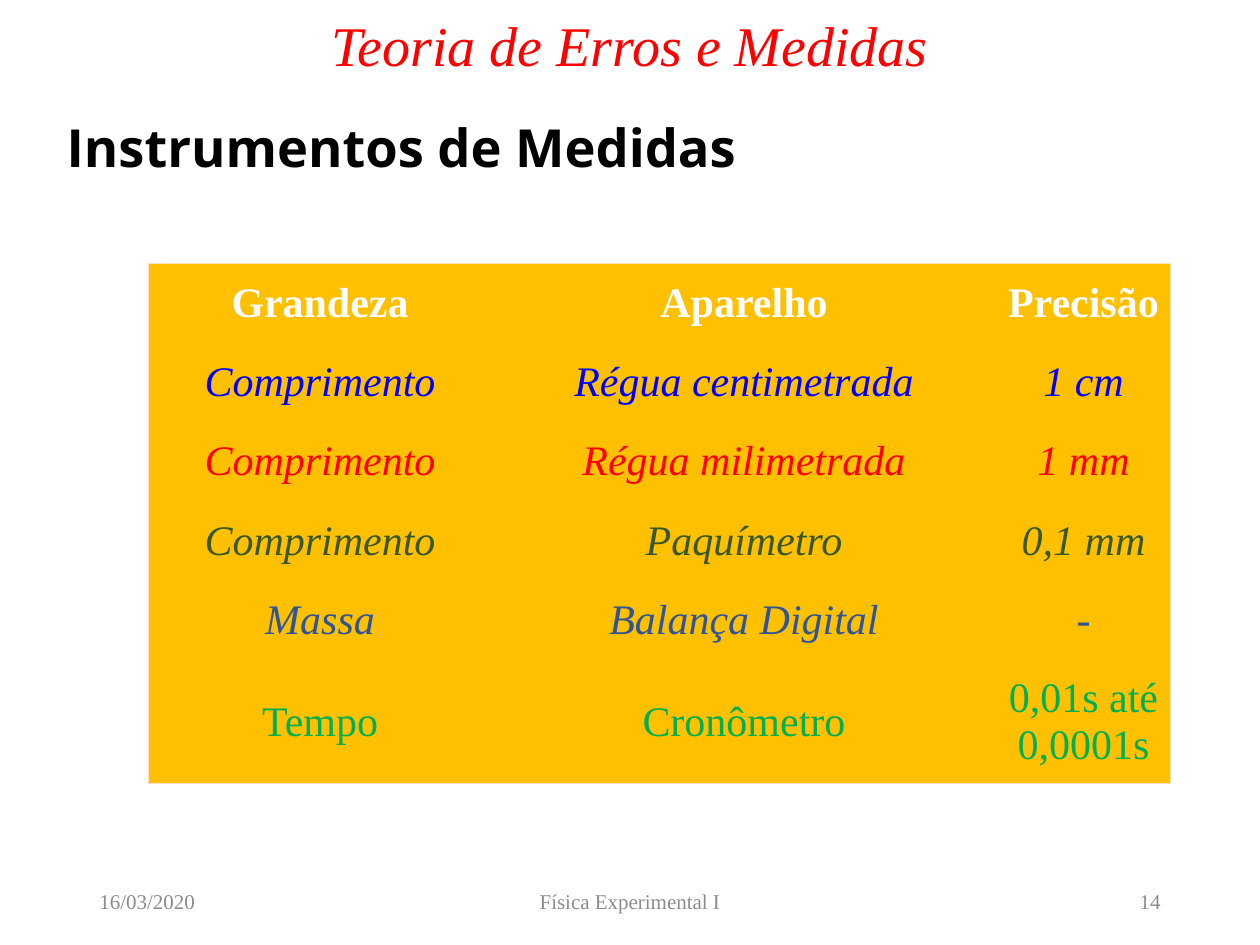
from lxml.etree import SubElement
from pptx import Presentation
from pptx.dml.color import RGBColor
from pptx.enum.text import MSO_ANCHOR, PP_ALIGN
from pptx.oxml.ns import qn
from pptx.util import Inches, Pt

SERIF = "Times New Roman"
BORDER_COLOR = "FFE2BD"
TABLE_FILL = "FFC000"
COLUMN_WIDTHS = [2.72, 4.01, 1.38]
ROW_HEIGHTS = [0.63] * 5 + [0.98]
ROWS = [
    (["Grandeza", "Aparelho", "Precisão"], "FFFFFF", {"bold": True}),
    (["Comprimento", "Régua centimetrada", "1 cm"], "0000FF", {"italic": True}),
    (["Comprimento", "Régua milimetrada", "1 mm"], "FF0000", {"italic": True}),
    (["Comprimento", "Paquímetro", "0,1 mm"], "385723", {"italic": True}),
    (["Massa", "Balança Digital", "-"], "2F5597", {"italic": True}),
    (["Tempo", "Cronômetro", "0,01s até 0,0001s"], "00B050", {}),
]
FOOTERS = [
    ("16/03/2020", 0.69, 2.25, PP_ALIGN.LEFT),
    ("Física Experimental I", 3.31, 3.38, PP_ALIGN.CENTER),
    ("14", 7.06, 2.25, PP_ALIGN.RIGHT),
]


def color(value):
    return RGBColor.from_string(value)


def apply(target, values):
    for name, value in values.items():
        setattr(target, name, value)


def place(shape, left, top, width, height):
    apply(shape, {"left": Inches(left), "top": Inches(top),
                  "width": Inches(width), "height": Inches(height)})


def write(text_frame, text, alignment, text_color, font):
    paragraph = text_frame.paragraphs[0]
    paragraph.alignment = alignment
    run = paragraph.add_run()
    run.text = text
    apply(run.font, {"name": SERIF, "bold": False, "italic": False, **font})
    run.font.color.rgb = color(text_color)
    return paragraph


def add_title(slide, text):
    title = slide.shapes.title
    place(title, 0, -0.34, 10, 1.45)
    title.text_frame.vertical_anchor = MSO_ANCHOR.MIDDLE
    paragraph = write(title.text_frame, text, PP_ALIGN.CENTER, "FF0000",
                      {"size": Pt(32), "italic": True})
    paragraph.line_spacing = 0.9


def add_text(slide, text, box, alignment, text_color, font):
    shape = slide.shapes.add_textbox(*map(Inches, box))
    apply(shape.text_frame, {"word_wrap": True,
                             "vertical_anchor": MSO_ANCHOR.MIDDLE})
    write(shape.text_frame, text, alignment, text_color, font)


def set_borders(cell, outer_sides):
    properties = cell._tc.get_or_add_tcPr()
    for side in "LRTB":
        line = SubElement(properties, qn(f"a:ln{side}"), w=str(Pt(0.5)))
        if side in outer_sides:
            fill = SubElement(line, qn("a:solidFill"))
            SubElement(fill, qn("a:srgbClr"), val=BORDER_COLOR)
        else:
            SubElement(line, qn("a:noFill"))


def format_cell(cell, text, text_color, font, outer_sides):
    apply(cell, {"vertical_anchor": MSO_ANCHOR.MIDDLE,
                 "margin_left": Inches(0.06), "margin_right": Inches(0.06),
                 "margin_top": 0, "margin_bottom": 0})
    set_borders(cell, outer_sides)
    cell.fill.solid()
    cell.fill.fore_color.rgb = color(TABLE_FILL)
    write(cell.text_frame, text, PP_ALIGN.CENTER, text_color,
          {"size": Pt(24), **font})


def add_instrument_table(slide):
    last_row, last_column = len(ROWS) - 1, len(COLUMN_WIDTHS) - 1
    table = slide.shapes.add_table(
        len(ROWS), len(COLUMN_WIDTHS), Inches(1.18), Inches(2.09),
        Inches(sum(COLUMN_WIDTHS)), Inches(sum(ROW_HEIGHTS))).table
    apply(table, {"first_row": False, "horz_banding": False})
    for column, width in zip(table.columns, COLUMN_WIDTHS):
        column.width = Inches(width)
    for row, height in zip(table.rows, ROW_HEIGHTS):
        row.height = Inches(height)
    for row_index, (texts, text_color, font) in enumerate(ROWS):
        for column_index, text in enumerate(texts):
            edges = {"L": column_index == 0, "R": column_index == last_column,
                     "T": row_index == 0, "B": row_index == last_row}
            outer_sides = [side for side, outer in edges.items() if outer]
            format_cell(table.cell(row_index, column_index), text, text_color,
                        font, outer_sides)


def main():
    presentation = Presentation()
    apply(presentation, {"slide_width": Inches(10), "slide_height": Inches(7.5)})
    slide = presentation.slides.add_slide(presentation.slide_layouts[5])
    add_title(slide, "Teoria de Erros e Medidas")
    for text, left, width, alignment in FOOTERS:
        add_text(slide, text, (left, 6.95, width, 0.4), alignment, "8C8C8C",
                 {"size": Pt(12)})
    add_instrument_table(slide)
    add_text(slide, "Instrumentos de Medidas", (0.43, 0.81, 5.81, 0.7),
             PP_ALIGN.JUSTIFY, "000000",
             {"name": "Open Sans", "size": Pt(30), "bold": True})
    presentation.save("out.pptx")


if __name__ == "__main__":
    main()
